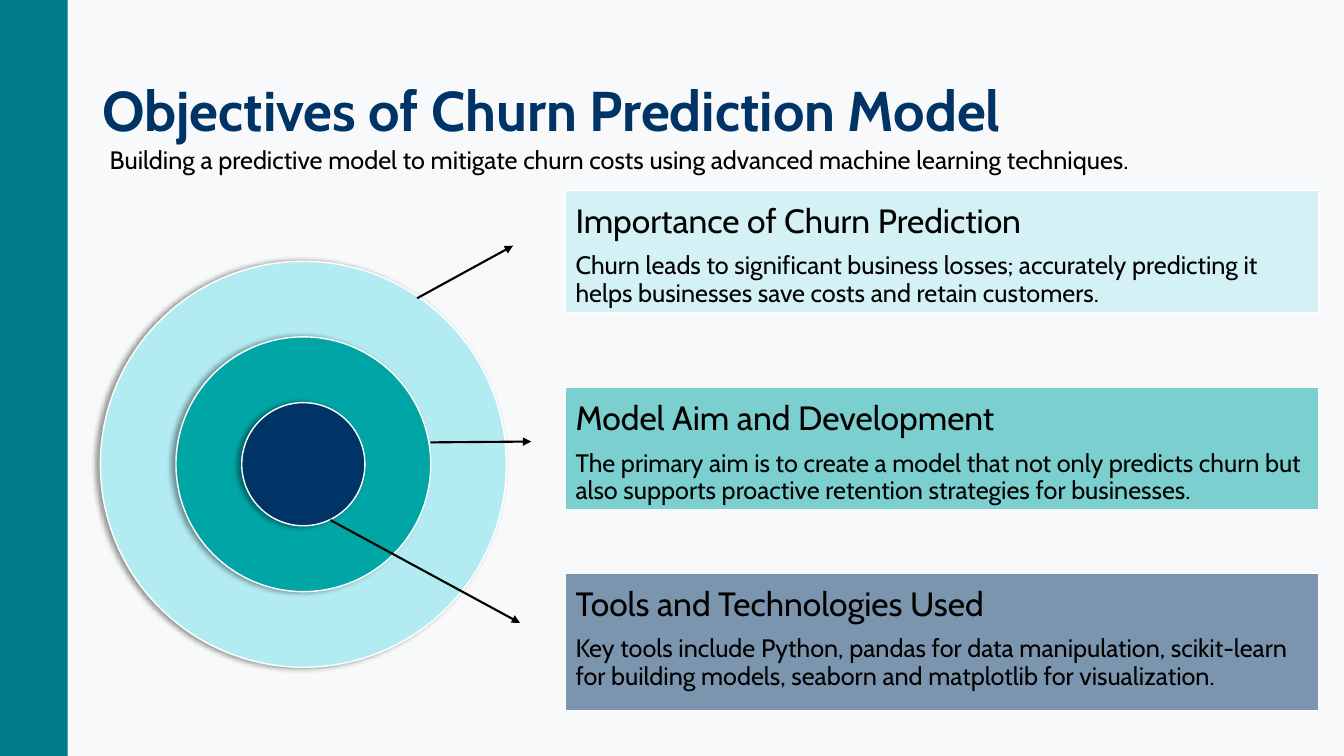
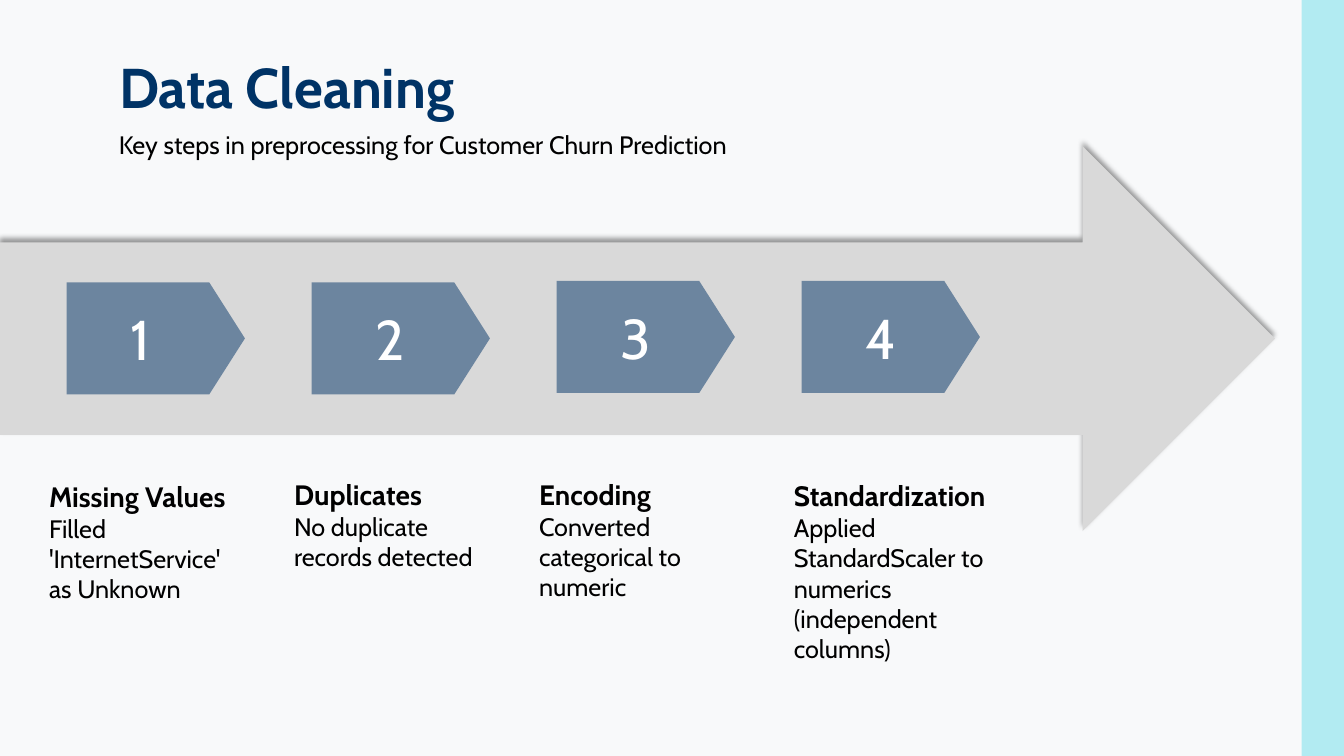
from dataclasses import dataclass

from lxml.etree import SubElement
from pptx import Presentation
from pptx.dml.color import RGBColor
from pptx.enum.shapes import MSO_CONNECTOR, MSO_SHAPE
from pptx.enum.text import MSO_ANCHOR, MSO_AUTO_SIZE, PP_ALIGN
from pptx.oxml.ns import qn
from pptx.presentation import Presentation as Deck
from pptx.shapes.autoshape import Shape
from pptx.shapes.shapetree import GroupShapes, SlideShapes
from pptx.slide import Slide
from pptx.text.text import TextFrame
from pptx.util import Pt

FONT = "Cabin"
PAPER, WHITE, BLACK = "F8F9FA", "FFFFFF", "000000"
NAVY, TEAL, PALE, DEEP_TEAL, GREY = "003366", "00A6A6", "B2EBF2", "007B8A", "D9D9D9"
PAGE_WIDTH, PAGE_HEIGHT = 960, 540

Shapes = SlideShapes | GroupShapes
Area = tuple[float, float, float, float]


@dataclass(frozen=True)
class Panel:
    """One objective with its tinted panel."""

    heading: str
    body: str
    top: float
    height: float
    color: str


@dataclass(frozen=True)
class Ring:
    """One circle of the target."""

    diameter: float
    color: str


@dataclass(frozen=True)
class Arrow:
    """A pointer from a ring towards its panel."""

    start: tuple[float, float]
    end: tuple[float, float]


@dataclass(frozen=True)
class Step:
    """One cleaning step with the places of its marker and caption."""

    heading: str
    body: str
    marker_top: float
    caption: Area


PANELS = (
    Panel("Importance of Churn Prediction",
          "Churn leads to significant business losses; accurately predicting it "
          "helps businesses save costs and retain customers.", 136, 87, PALE),
    Panel("Model Aim and Development",
          "The primary aim is to create a model that not only predicts churn but "
          "also supports proactive retention strategies for businesses.", 277, 87, TEAL),
    Panel("Tools and Technologies Used",
          "Key tools include Python, pandas for data manipulation, scikit-learn for "
          "building models, seaborn and matplotlib for visualization.", 409.7, 98, NAVY),
)
RINGS = (Ring(290, PALE), Ring(182, TEAL), Ring(88, NAVY))
ARROWS = (
    Arrow((298, 213), (366.5, 175.5)),
    Arrow((307.5, 316), (379.5, 315.4)),
    Arrow((236, 371.5), (371.5, 445)),
)
STEPS = (
    Step("Missing Values", "Filled 'InternetService' as Unknown", 178, (28, 339, 147, 121)),
    Step("Duplicates", "No duplicate records detected", 178, (203, 337.7, 147, 97)),
    Step("Encoding", "Converted categorical to numeric", 177, (378, 337.7, 147, 97)),
    Step("Standardization", "Applied StandardScaler to numerics (independent columns)",
         177, (560, 338.4, 172, 140)),
)


def rgb(color: str) -> RGBColor:
    """Turn a hex string into a colour."""
    return RGBColor.from_string(color)


def write(frame: TextFrame, text: str, *, size: float, color: str = BLACK,
          bold: bool = False, spacing: float = 1.0, more: bool = False) -> None:
    """Write one formatted paragraph, after the existing ones if more is set."""
    para = frame.add_paragraph() if more else frame.paragraphs[0]
    para.alignment = PP_ALIGN.LEFT
    para.line_spacing = spacing
    span = para.add_run()
    span.text = text
    span.font.name = FONT
    span.font.size = Pt(size)
    span.font.bold = bold
    span.font.color.rgb = rgb(color)


def add_box(shapes: Shapes, area: Area, *, middle: bool = False) -> TextFrame:
    """Add a wrapping text box and return its frame."""
    frame = shapes.add_textbox(*map(Pt, area)).text_frame
    frame.word_wrap = True
    frame.vertical_anchor = MSO_ANCHOR.MIDDLE if middle else MSO_ANCHOR.TOP
    frame.auto_size = MSO_AUTO_SIZE.NONE if middle else MSO_AUTO_SIZE.SHAPE_TO_FIT_TEXT
    return frame


def add_line_of_text(shapes: Shapes, text: str, area: Area, size: float) -> None:
    """Add tight, vertically centred text."""
    write(add_box(shapes, area, middle=True), text, size=size, spacing=0.9)


def add_figure(shapes: Shapes, kind: MSO_SHAPE, area: Area, color: str, *,
               alpha: int = 100, outline: float = 0,
               shadow_angle: int | None = None) -> Shape:
    """Add a filled preset shape with optional outline and shadow."""
    figure = shapes.add_shape(kind, *map(Pt, area))
    figure.shadow.inherit = False
    figure.fill.solid()
    figure.fill.fore_color.rgb = rgb(color)
    properties = figure.element.spPr
    if alpha < 100:
        tint = properties.find(qn("a:solidFill"))[0]
        SubElement(tint, qn("a:alpha"), val=str(alpha * 1000))
    if outline:
        figure.line.color.rgb = rgb(WHITE)
        figure.line.width = Pt(outline)
    else:
        figure.line.fill.background()
    if shadow_angle is not None:
        shadow = SubElement(properties.find(qn("a:effectLst")), qn("a:outerShdw"),
                            blurRad=str(Pt(4)), dist=str(Pt(3)),
                            dir=str(shadow_angle * 60000), rotWithShape="0")
        shade = SubElement(shadow, qn("a:srgbClr"), val=BLACK)
        SubElement(shade, qn("a:alpha"), val="40000")
    return figure


def add_arrow(shapes: Shapes, arrow: Arrow) -> None:
    """Add a straight line with an arrowhead at its end."""
    line = shapes.add_connector(MSO_CONNECTOR.STRAIGHT, *map(Pt, arrow.start + arrow.end))
    line.line.color.rgb = rgb(BLACK)
    line.line.width = Pt(1.5)
    properties = line.element.spPr
    SubElement(properties.find(qn("a:ln")), qn("a:tailEnd"), type="triangle")
    SubElement(properties, qn("a:effectLst"))


def add_page(deck: Deck, title: str, title_area: Area, subtitle: str,
             subtitle_area: Area) -> Slide:
    """Add a page with its title and subtitle."""
    page = deck.slides.add_slide(deck.slide_layouts[5])
    heading = page.shapes.title
    heading.left, heading.top, heading.width, heading.height = map(Pt, title_area)
    frame = heading.text_frame
    frame.word_wrap = True
    frame.auto_size = MSO_AUTO_SIZE.NONE
    frame.vertical_anchor = MSO_ANCHOR.MIDDLE
    write(frame, title, size=40, color=NAVY, bold=True, spacing=0.9)
    add_line_of_text(page.shapes, subtitle, subtitle_area, 18)
    return page


def add_band(page: Slide, left: float, width: float, color: str) -> None:
    """Add a full-height band at the side of a page."""
    add_figure(page.shapes, MSO_SHAPE.RECTANGLE, (left, 0, width, PAGE_HEIGHT), color)


def add_panel(shapes: Shapes, panel: Panel) -> None:
    """Add a tinted panel with heading and body."""
    left, width, text_height = 404, 538, 45.4
    add_figure(shapes, MSO_SHAPE.RECTANGLE, (left, panel.top, width, panel.height),
               panel.color, alpha=50, outline=0.75)
    add_line_of_text(shapes, panel.heading, (left, panel.top, width, text_height), 24)
    add_line_of_text(shapes, panel.body, (left, panel.top + 41.5, width, text_height), 18)


def add_step(page: Slide, index: int, step: Step) -> None:
    """Add a numbered marker and its caption as one group."""
    shapes = page.shapes.add_group_shape().shapes
    left = 71.3 + 175 * index
    marker = add_figure(shapes, MSO_SHAPE.FLOWCHART_OFFPAGE_CONNECTOR,
                        (left, step.marker_top, 80, 127.4), NAVY, alpha=50)
    marker.rotation = 270
    number = add_box(shapes, (left + 15, step.marker_top + 36, 60, 55.4))
    write(number, str(index + 1), size=40, color=WHITE)
    caption = add_box(shapes, step.caption)
    write(caption, step.heading, size=20, bold=True)
    write(caption, step.body, size=18, more=True)


def build_objectives(deck: Deck) -> None:
    """Build the page of model objectives."""
    page = add_page(
        deck, "Objectives of Churn Prediction Model", (66, 29, 828, 104.4),
        "Building a predictive model to mitigate churn costs using advanced machine "
        "learning techniques.", (71.3, 97.2, 804, 36))
    for panel in PANELS:
        add_panel(page.shapes, panel)
    center_x, center_y = 216.7, 331.6
    for ring in RINGS:
        radius = ring.diameter / 2
        add_figure(page.shapes, MSO_SHAPE.OVAL,
                   (center_x - radius, center_y - radius, ring.diameter, ring.diameter),
                   ring.color, outline=1, shadow_angle=180)
    for arrow in ARROWS:
        add_arrow(page.shapes, arrow)
    add_band(page, 0, 48.3, DEEP_TEAL)


def build_cleaning(deck: Deck) -> None:
    """Build the page of data cleaning steps."""
    page = add_page(
        deck, "Data Cleaning", (77.8, 12.2, 685.4, 104.4),
        "Key steps in preprocessing for Customer Churn Prediction", (77.8, 84.2, 695, 40.3))
    add_band(page, 929.7, 30.3, PALE)
    add_figure(page.shapes, MSO_SHAPE.RIGHT_ARROW, (0, 104.4, 910.8, 275), GREY,
               shadow_angle=270)
    for index, step in enumerate(STEPS):
        add_step(page, index, step)


def main() -> None:
    """Build and save the deck."""
    deck = Presentation()
    deck.slide_width, deck.slide_height = Pt(PAGE_WIDTH), Pt(PAGE_HEIGHT)
    backdrop = deck.slide_master.background.fill
    backdrop.solid()
    backdrop.fore_color.rgb = rgb(PAPER)
    build_objectives(deck)
    build_cleaning(deck)
    deck.save("out.pptx")


if __name__ == "__main__":
    main()
